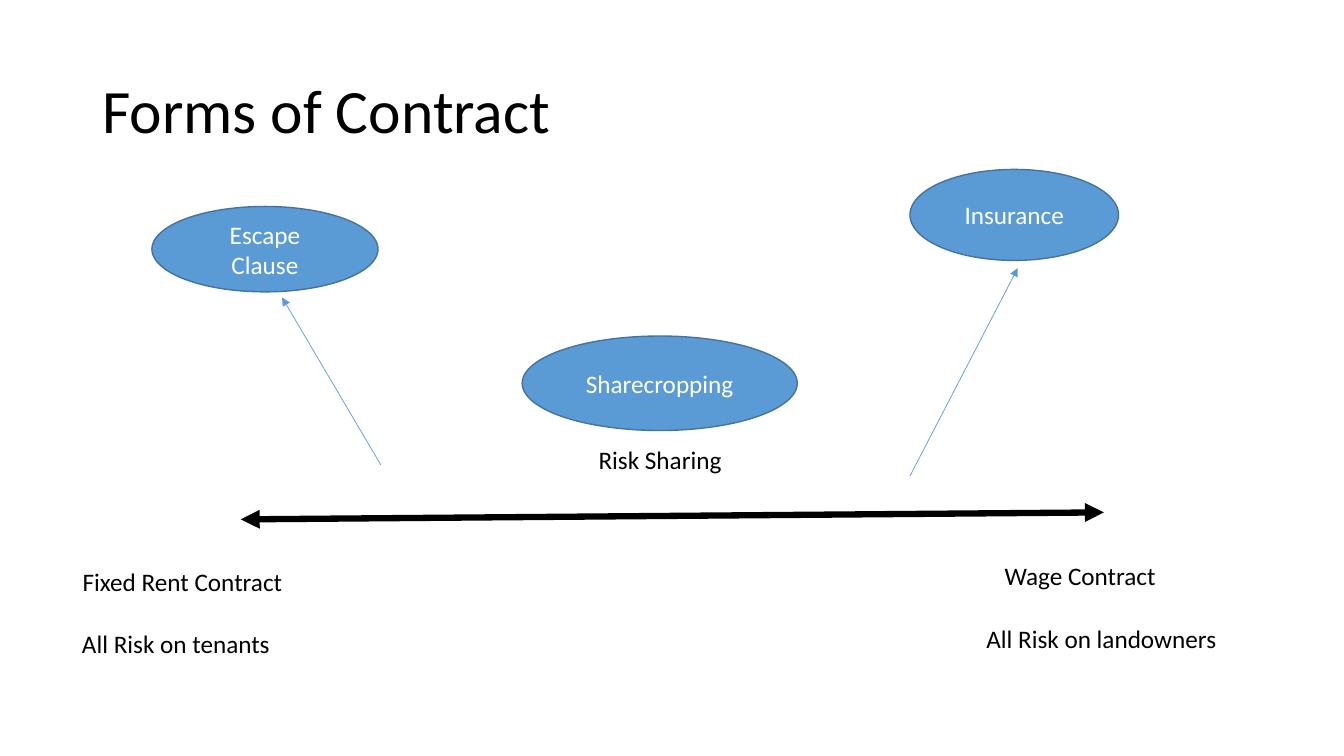
from dataclasses import dataclass

from lxml import etree
from pptx import Presentation
from pptx.dml.color import RGBColor
from pptx.enum.shapes import MSO_CONNECTOR, MSO_SHAPE
from pptx.enum.text import MSO_ANCHOR, PP_ALIGN
from pptx.oxml.ns import qn
from pptx.util import Pt

ELLIPSE = MSO_SHAPE.OVAL
STRAIGHT = MSO_CONNECTOR.STRAIGHT
MIDDLE, TOP = MSO_ANCHOR.MIDDLE, MSO_ANCHOR.TOP
LEFT, CENTER = PP_ALIGN.LEFT, PP_ALIGN.CENTER


@dataclass(frozen=True)
class Theme:
    font: str = "Calibri"
    title_size: float = 44
    body_size: float = 18
    ink: RGBColor = RGBColor(0x00, 0x00, 0x00)
    on_fill: RGBColor = RGBColor(0xFF, 0xFF, 0xFF)
    accent: RGBColor = RGBColor(0x5B, 0x9B, 0xD5)
    outline: RGBColor = RGBColor(0x43, 0x73, 0x9E)


class ContractSlide:
    def __init__(self, slide, theme):
        self.shapes = slide.shapes
        self.theme = theme

    def set_text(self, shape, text, size, color, align, anchor):
        frame = shape.text_frame
        frame.word_wrap = True
        frame.vertical_anchor = anchor
        frame.text = text
        paragraph = frame.paragraphs[0]
        paragraph.alignment = align
        font = paragraph.runs[0].font
        font.name, font.size, font.color.rgb = self.theme.font, Pt(size), color
        return paragraph

    def title(self, text, *box):
        shape = self.shapes.add_textbox(*map(Pt, box))
        paragraph = self.set_text(shape, text, self.theme.title_size,
                                  self.theme.ink, LEFT, MIDDLE)
        paragraph.line_spacing = 0.9

    def label(self, text, left, top, width, align=LEFT):
        shape = self.shapes.add_textbox(Pt(left), Pt(top), Pt(width), Pt(29))
        self.set_text(shape, text, self.theme.body_size, self.theme.ink,
                      align, TOP)

    def bubble(self, text, *box):
        shape = self.shapes.add_shape(ELLIPSE, *map(Pt, box))
        shape.shadow.inherit = False
        shape.fill.solid()
        shape.fill.fore_color.rgb = self.theme.accent
        shape.line.color.rgb = self.theme.outline
        shape.line.width = Pt(1)
        self.set_text(shape, text, self.theme.body_size, self.theme.on_fill,
                      CENTER, MIDDLE)

    def arrow(self, start, end, color, width, ends=("tailEnd",)):
        connector = self.shapes.add_connector(STRAIGHT, *map(Pt, start + end))
        connector.line.color.rgb = color
        connector.line.width = Pt(width)
        properties = connector.element.spPr
        outline = properties.find(qn("a:ln"))
        for tag in ends:
            etree.SubElement(outline, qn(f"a:{tag}"), type="triangle")
        etree.SubElement(properties, qn("a:effectLst"))


def main():
    deck = Presentation()
    deck.slide_width, deck.slide_height = Pt(960), Pt(540)
    theme = Theme()
    page = ContractSlide(deck.slides.add_slide(deck.slide_layouts[6]), theme)

    page.title("Forms of Contract", 66, 29, 828, 104)

    # Risk axis between the two extreme contracts
    page.arrow((172, 371), (788.5, 366), theme.ink, 4.5, ("headEnd", "tailEnd"))
    page.label("Fixed Rent Contract", 52, 401, 158)
    page.label("Wage Contract", 710.5, 397, 128)
    page.label("All Risk on tenants", 51.5, 445, 158)
    page.label("All Risk on landowners", 697.5, 441.5, 183)

    # Shared risk in the middle
    page.bubble("Sharecropping", 373, 240, 196.5, 67.5)
    page.label("Risk Sharing", 394, 314, 155, CENTER)

    # Variations branching off each side
    page.arrow((650, 340), (727, 191.5), theme.accent, 0.5)
    page.bubble("Insurance", 650, 121, 149, 65)
    page.arrow((272, 332), (201.5, 212.5), theme.accent, 0.5)
    page.bubble("Escape Clause", 108.5, 147.5, 161.5, 61)

    deck.save("out.pptx")


if __name__ == "__main__":
    main()
